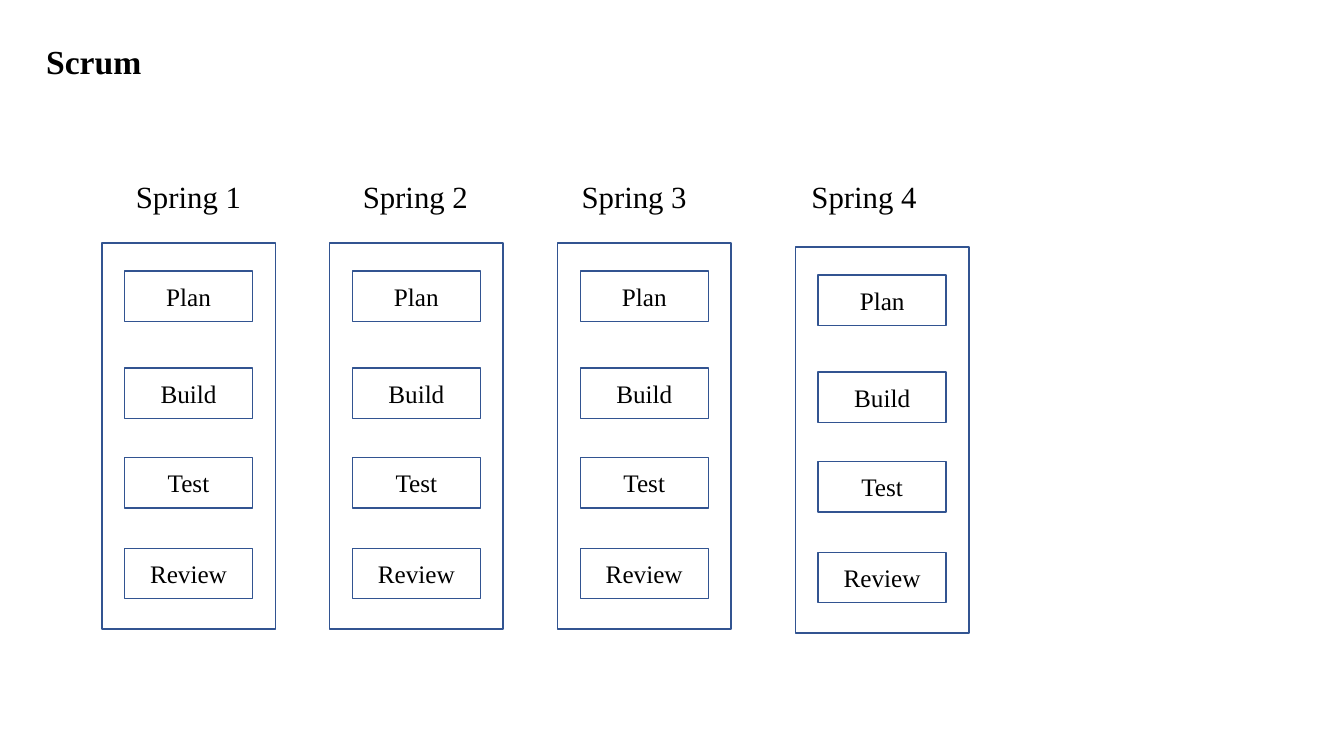
from dataclasses import dataclass

from pptx import Presentation
from pptx.dml.color import RGBColor as RGB
from pptx.enum.shapes import MSO_SHAPE as Shape
from pptx.enum.text import MSO_ANCHOR as Anchor, MSO_AUTO_SIZE as Fit, PP_ALIGN as Align
from pptx.util import Inches, Pt


@dataclass(frozen=True)
class Theme:
    face: str = "Times New Roman"
    ink: RGB = RGB(0x00, 0x00, 0x00)
    edge: RGB = RGB(0x32, 0x54, 0x91)
    paper: RGB = RGB(0xFF, 0xFF, 0xFF)
    title: int = 24
    head: int = 22
    step: int = 18
    rule: int = 1


THEME = Theme()

# Panel left, panel top, heading left
SPRINGS = [(1.01, 2.41, 1.25), (3.27, 2.41, 3.5), (5.53, 2.41, 5.67), (7.89, 2.45, 7.95)]
# Step name and its offset from the panel top
STEPS = [("Plan", 0.28), ("Build", 1.24), ("Test", 2.13), ("Review", 3.03)]
PANEL_W, PANEL_H = 1.72, 3.83
STEP_W, STEP_H = 1.27, 0.5


def set_all(item, values):
    for name, value in values.items():
        setattr(item, name, value)


def write(frame, text, size, bold=False):
    para = frame.paragraphs[0]
    run = para.add_run()
    run.text = text
    set_all(run.font, {"name": THEME.face, "size": Pt(size), "bold": bold})
    run.font.color.rgb = THEME.ink
    return para


def add_label(slide, text, left, top, width, height, size, bold=False):
    box = slide.shapes.add_textbox(Inches(left), Inches(top), Inches(width), Inches(height))
    set_all(box.text_frame, {"word_wrap": False, "auto_size": Fit.SHAPE_TO_FIT_TEXT})
    write(box.text_frame, text, size, bold)


def add_box(shapes, left, top, width, height):
    box = shapes.add_shape(
        Shape.RECTANGLE, Inches(left), Inches(top), Inches(width), Inches(height))
    box.shadow.inherit = False
    box.fill.solid()
    box.fill.fore_color.rgb = THEME.paper
    box.line.color.rgb = THEME.edge
    box.line.width = Pt(THEME.rule)
    return box


def add_spring(slide, left, top):
    shapes = slide.shapes.add_group_shape().shapes
    add_box(shapes, left, top, PANEL_W, PANEL_H)
    inset = (PANEL_W - STEP_W) / 2
    for name, drop in STEPS:
        box = add_box(shapes, left + inset, top + drop, STEP_W, STEP_H)
        box.text_frame.vertical_anchor = Anchor.MIDDLE
        write(box.text_frame, name, THEME.step).alignment = Align.CENTER


def main():
    deck = Presentation()
    set_all(deck, {"slide_width": Inches(13.33), "slide_height": Inches(7.5)})
    slide = deck.slides.add_slide(deck.slide_layouts[6])

    # Title
    add_label(slide, "Scrum", 0.36, 0.36, 1.16, 0.5, THEME.title, bold=True)

    # Panels with their steps
    for left, top, _ in SPRINGS:
        add_spring(slide, left, top)

    # Headings
    for count, (_, _, left) in enumerate(SPRINGS, 1):
        add_label(slide, f"Spring {count}", left, 1.71, 1.26, 0.47, THEME.head)

    deck.save("out.pptx")


if __name__ == "__main__":
    main()
